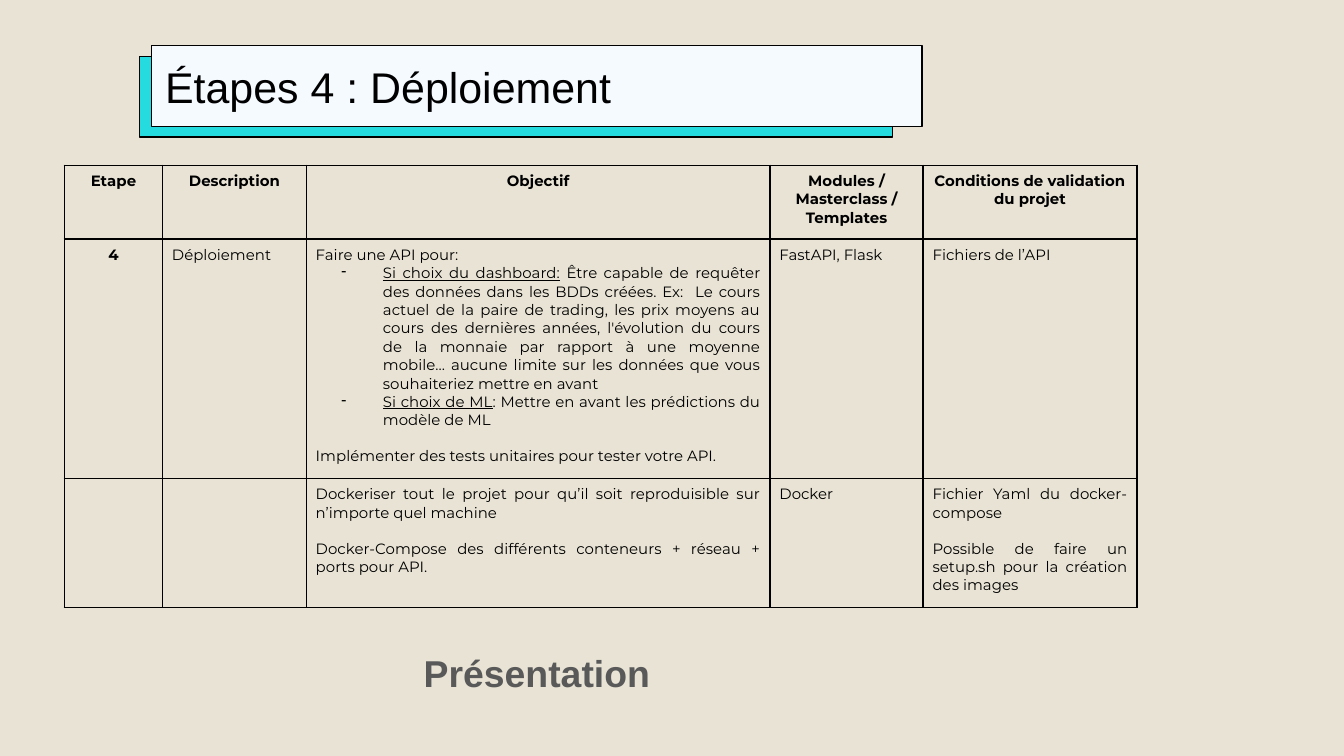
"""Build the deployment step slide with its title, table and footer."""
from dataclasses import dataclass

from lxml import etree
from pptx import Presentation
from pptx.dml.color import RGBColor
from pptx.enum.shapes import MSO_SHAPE
from pptx.enum.text import MSO_ANCHOR, PP_ALIGN
from pptx.oxml.ns import qn
from pptx.util import Inches, Pt

RECT = MSO_SHAPE.RECTANGLE
MIDDLE = MSO_ANCHOR.MIDDLE
LEFT, CENTER, JUST = PP_ALIGN.LEFT, PP_ALIGN.CENTER, PP_ALIGN.JUSTIFY
BLACK = RGBColor(0x00, 0x00, 0x00)
GRAY = RGBColor(0x59, 0x59, 0x59)
SAND = RGBColor(0xE8, 0xE3, 0xD4)
CYAN = RGBColor(0x26, 0xDB, 0xE0)
PALE = RGBColor(0xF5, 0xFA, 0xFF)

WIDE = 10
SIZE = {"slide_width": Inches(WIDE), "slide_height": Inches(WIDE * 9 / 16)}
TITLE = {"name": "Arial", "size": Pt(23), "bold": False}
FOOT = {"name": "Arial", "size": Pt(20), "bold": True}
BODY = {"name": "Montserrat", "size": Pt(8), "bold": False}
HEAD = {**BODY, "bold": True}
INSETS = {"margin_left": Inches(0.07), "margin_right": Inches(0.07),
          "margin_top": Inches(0.05), "margin_bottom": Inches(0.05)}
FRAME = {"margin_left": Inches(0.1), "margin_right": Inches(0.1),
         "margin_top": Inches(0.1), "margin_bottom": Inches(0.1),
         "word_wrap": True, "vertical_anchor": MIDDLE}


@dataclass
class Para:
    text: str
    align: PP_ALIGN = JUST
    lead: str = ""
    gap: float = 0
    look: dict | None = None


COLS = (0.73, 1.07, 3.45, 1.14, 1.59)
ROWS = (0.55, 1.78, 0.96)
GAP = 9.5
LABELS = ("Etape", "Description", "Objectif",
          "Modules / Masterclass / Templates",
          "Conditions de validation du projet")
CELLS = (
    tuple([Para(label, CENTER, look=HEAD)] for label in LABELS),
    (
        [Para("4", CENTER, look=HEAD)],
        [Para("Déploiement", LEFT)],
        [
            Para("Faire une API pour:"),
            Para(" Être capable de requêter des données dans les BDDs créées. "
                 "Ex:  Le cours actuel de la paire de trading, les prix moyens "
                 "au cours des dernières années, l'évolution du cours de la "
                 "monnaie par rapport à une moyenne mobile... aucune limite "
                 "sur les données que vous souhaiteriez mettre en avant",
                 lead="Si choix du dashboard:"),
            Para(": Mettre en avant les prédictions du modèle de ML",
                 lead="Si choix de ML"),
            Para("Implémenter des tests unitaires pour tester votre API.",
                 gap=GAP),
        ],
        [Para("FastAPI, Flask", LEFT)],
        [Para("Fichiers de l’API")],
    ),
    (
        [],
        [],
        [
            Para("Dockeriser tout le projet pour qu’il soit reproduisible sur "
                 "n’importe quel machine"),
            Para("Docker-Compose des différents conteneurs + réseau + ports "
                 "pour API.", gap=GAP),
        ],
        [Para("Docker", LEFT)],
        [
            Para("Fichier Yaml du docker-compose"),
            Para("Possible de faire un setup.sh pour la création des images",
                 gap=GAP),
        ],
    ),
)


def apply(target, values: dict) -> None:
    """Set each named attribute on the target."""
    for name, value in values.items():
        setattr(target, name, value)


def add_run(para, text: str, look: dict, color: RGBColor = BLACK):
    """Append a styled run and return it."""
    run = para.add_run()
    run.text = text
    apply(run.font, look)
    run.font.color.rgb = color
    return run


def add_dash(para) -> None:
    """Give a paragraph a hanging dash bullet."""
    props = para._p.get_or_add_pPr()
    props.set("marL", str(Inches(0.5)))
    props.set("indent", str(Inches(-0.31)))
    tint = etree.SubElement(props, qn("a:buClr"))
    etree.SubElement(tint, qn("a:srgbClr"), val=str(BLACK))
    etree.SubElement(props, qn("a:buChar"), char="-")


def add_edges(cell) -> None:
    """Draw a thin black border on every side of a cell."""
    props = cell._tc.get_or_add_tcPr()
    for side in ("L", "R", "T", "B"):
        edge = etree.SubElement(props, qn(f"a:ln{side}"), w=str(Pt(0.96)))
        fill = etree.SubElement(edge, qn("a:solidFill"))
        etree.SubElement(fill, qn("a:srgbClr"), val=str(BLACK))


def fill_cell(cell, paras: list[Para]) -> None:
    """Style a cell and write its paragraphs."""
    add_edges(cell)
    cell.fill.background()
    apply(cell, INSETS)
    frame = cell.text_frame
    for index, item in enumerate(paras):
        para = frame.add_paragraph() if index else frame.paragraphs[0]
        para.alignment = item.align
        if item.gap:
            para.space_before = Pt(item.gap)
        look = item.look or BODY
        if item.lead:
            add_dash(para)
            add_run(para, item.lead, look).font.underline = True
        add_run(para, item.text, look)


def add_table(slide) -> None:
    """Place the step table."""
    table = slide.shapes.add_table(
        len(ROWS), len(COLS), Inches(0.48), Inches(1.23),
        Inches(sum(COLS)), Inches(sum(ROWS))).table
    apply(table, {"first_row": False, "horz_banding": False})
    for col, width in zip(table.columns, COLS):
        col.width = Inches(width)
    for row, height, line in zip(table.rows, ROWS, CELLS):
        row.height = Inches(height)
        for cell, paras in zip(row.cells, line):
            fill_cell(cell, paras)


def add_panel(slide, left: float, top: float, width: float, color: RGBColor):
    """Add an outlined title panel and return it."""
    panel = slide.shapes.add_shape(
        RECT, Inches(left), Inches(top), Inches(width), Inches(0.6))
    panel.shadow.inherit = False
    panel.fill.solid()
    panel.fill.fore_color.rgb = color
    panel.line.color.rgb = BLACK
    panel.line.width = Pt(0.75)
    return panel


def write(shape, text: str, look: dict, align: PP_ALIGN, color: RGBColor) -> None:
    """Write one styled line in a shape."""
    frame = shape.text_frame
    apply(frame, FRAME)
    para = frame.paragraphs[0]
    para.alignment = align
    add_run(para, text, look, color)


def main() -> None:
    """Assemble and save the slide."""
    deck = Presentation()
    apply(deck, SIZE)
    slide = deck.slides.add_slide(deck.slide_layouts[6])
    slide.background.fill.solid()
    slide.background.fill.fore_color.rgb = SAND
    add_panel(slide, 1.04, 0.42, 5.6, CYAN)
    title = add_panel(slide, 1.13, 0.34, 5.73, PALE)
    write(title, "Étapes 4 : Déploiement", TITLE, LEFT, BLACK)
    add_table(slide)
    foot = slide.shapes.add_textbox(
        Inches(1.52), Inches(4.74), Inches(4.95), Inches(0.53))
    write(foot, "Présentation", FOOT, CENTER, GRAY)
    deck.save("out.pptx")


if __name__ == "__main__":
    main()
